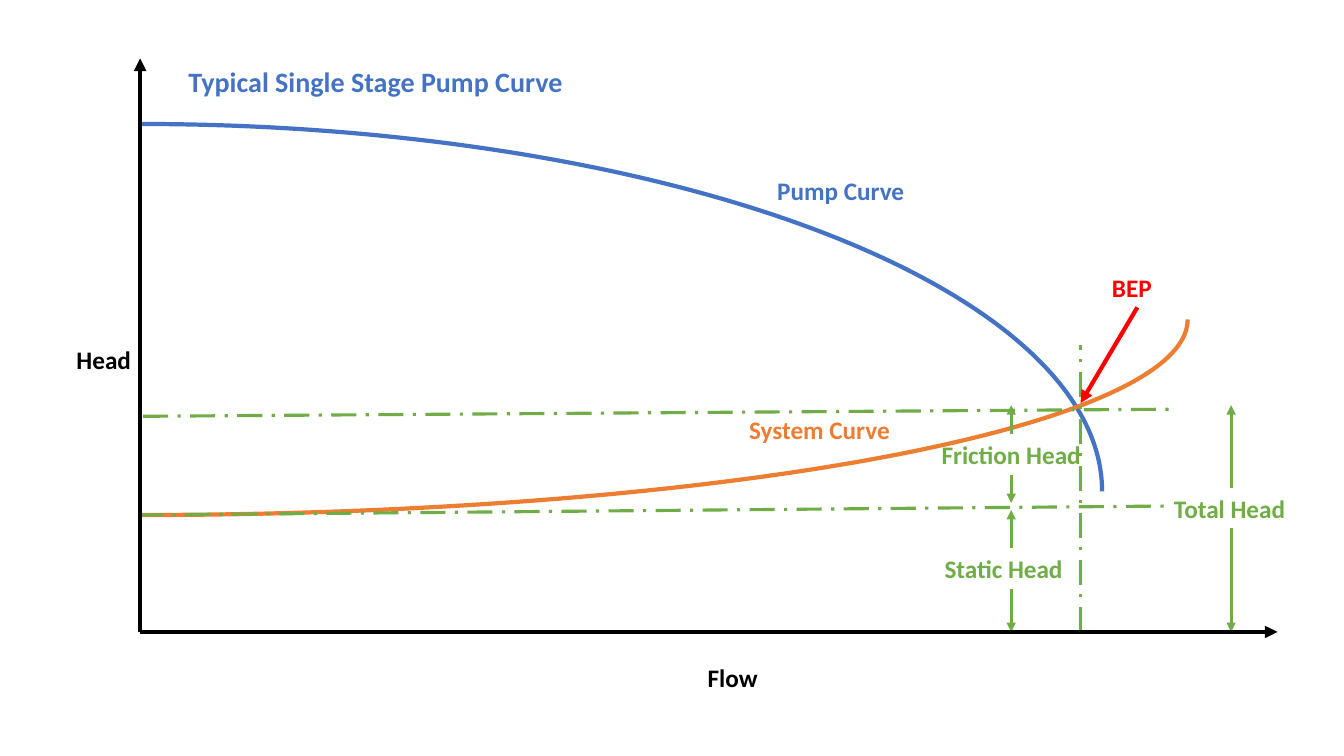
from dataclasses import dataclass

from pptx import Presentation
from pptx.dml.color import RGBColor
from pptx.enum.dml import MSO_LINE
from pptx.enum.shapes import MSO_CONNECTOR, MSO_SHAPE
from pptx.enum.text import MSO_AUTO_SIZE, PP_ALIGN
from pptx.oxml.ns import qn
from pptx.shapes.autoshape import Shape
from pptx.shapes.connector import Connector
from pptx.util import Inches, Pt
from lxml.etree import SubElement

BLUE = RGBColor(0x44, 0x72, 0xC4)
ORANGE = RGBColor(0xED, 0x7D, 0x31)
GREEN = RGBColor(0x70, 0xAD, 0x47)
RED = RGBColor(0xFF, 0x00, 0x00)
BLACK = RGBColor(0x00, 0x00, 0x00)

THICK, THIN = 3, 2.25
TOP, BOTTOM = 0, 2  # connection sites of a label

# All positions are percentages of the slide's width (x) and height (y)
ORIGIN_X, ORIGIN_Y = 10.43, 83.6
BEP_X, BEP_LEVEL = 80.4, 53.6
HEAD_X, TOTAL_X = 75.24, 91.6
GUIDE_END = 87.25


@dataclass
class Curve:
    """A quarter ellipse, drawn as an arc that may be turned."""
    center_x: float
    center_y: float
    radius_x: float
    radius_y: float
    color: RGBColor
    rotation: int = 0


@dataclass
class Label:
    text: str
    left: float
    top: float
    width: float
    color: RGBColor
    size: int = 18
    height: float = 5.33
    align: PP_ALIGN = PP_ALIGN.LEFT


@dataclass
class Line:
    x1: float
    y1: float
    x2: float
    y2: float


@dataclass
class LabelArrow:
    """An arrow from a label's top or bottom to a point."""
    label: str
    site: int
    x: float
    y: float
    color: RGBColor = GREEN
    width: float = THIN


CURVES = [
    Curve(ORIGIN_X, 65, 71.57, 48.6, BLUE),
    Curve(10.28, 42.27, 78.09, 25.87, ORANGE, rotation=90),
]
GUIDES = [
    Line(10.28, 68.13, GUIDE_END, 66.93),
    Line(10.65, 55.07, GUIDE_END, 54.13),
    Line(BEP_X, ORIGIN_Y, BEP_X, 45.6),
]
LABELS = [
    Label("Pump Curve", 57.09, 22.53, 11.4, BLUE),
    Label("System Curve", 54.99, 54.13, 12.68, ORANGE),
    Label("Static Head", 69.54, 72.53, 11.4, GREEN),
    Label("Friction Head", 69.24, 57.47, 12, GREEN, align=PP_ALIGN.CENTER),
    Label("Total Head", 86.61, 64.53, 9.98, GREEN),
    Label("BEP", 82, 35.33, 5.25, RED),
    Label("Head", 4.95, 44.93, 6.08, BLACK),
    Label("Flow", 51.91, 86.93, 6.08, BLACK),
    Label("Typical Single Stage Pump Curve", 13.28, 7.87, 29.56, BLUE, 20, 5.87),
]
LABEL_ARROWS = [
    LabelArrow("Static Head", TOP, HEAD_X, 67.47),
    LabelArrow("Static Head", BOTTOM, HEAD_X, ORIGIN_Y),
    LabelArrow("Friction Head", TOP, HEAD_X, BEP_LEVEL),
    LabelArrow("Friction Head", BOTTOM, HEAD_X, 66.53),
    LabelArrow("Total Head", TOP, TOTAL_X, BEP_LEVEL),
    LabelArrow("Total Head", BOTTOM, TOTAL_X, ORIGIN_Y),
    LabelArrow("BEP", BOTTOM, BEP_X, 53.33, RED, THICK),
]
AXES = [
    Line(ORIGIN_X, ORIGIN_Y, ORIGIN_X, 7.73),
    Line(ORIGIN_X, ORIGIN_Y, 95.05, ORIGIN_Y),
]

prs = Presentation()
prs.slide_width, prs.slide_height = Inches(13.33), Inches(7.5)
slide = prs.slides.add_slide(prs.slide_layouts[6])


def col(share: float) -> int:
    return round(prs.slide_width * share / 100)


def row(share: float) -> int:
    return round(prs.slide_height * share / 100)


def draw_curve(curve: Curve) -> None:
    half_w, half_h = col(curve.radius_x), row(curve.radius_y)
    if curve.rotation == 90:
        half_w, half_h = half_h, half_w
    s = slide.shapes.add_shape(
        MSO_SHAPE.ARC, col(curve.center_x) - half_w, row(curve.center_y) - half_h,
        2 * half_w, 2 * half_h)
    s.rotation = curve.rotation
    s.shadow.inherit = False
    s.fill.background()
    s.line.color.rgb = curve.color
    s.line.width = Pt(THICK)


def draw_label(label: Label) -> Shape:
    s = slide.shapes.add_textbox(
        col(label.left), row(label.top), col(label.width), row(label.height))
    tf = s.text_frame
    tf.word_wrap = True
    tf.auto_size = MSO_AUTO_SIZE.SHAPE_TO_FIT_TEXT
    tf.text = label.text
    p = tf.paragraphs[0]
    p.alignment = label.align
    font = p.runs[0].font
    font.name, font.size, font.bold = "Calibri", Pt(label.size), True
    font.color.rgb = label.color
    return s


def draw_line(line: Line, color: RGBColor, width: float, dashed: bool = False) -> Connector:
    """Draw a dashed guide, or a solid line with an arrowhead at its end."""
    s = slide.shapes.add_connector(
        MSO_CONNECTOR.STRAIGHT, col(line.x1), row(line.y1), col(line.x2), row(line.y2))
    s.line.color.rgb = color
    s.line.width = Pt(width)
    if dashed:
        s.line.dash_style = MSO_LINE.LONG_DASH_DOT
    else:
        SubElement(s.line._get_or_add_ln(), qn("a:tailEnd"), type="triangle")
    SubElement(s._element.spPr, qn("a:effectLst"))
    return s


# Pump and system curves
for curve in CURVES:
    draw_curve(curve)

# Guides through the best efficiency point and the static head
for guide in GUIDES:
    draw_line(guide, GREEN, THIN, dashed=True)

# Labels, and the arrows that leave them
boxes = {label.text: draw_label(label) for label in LABELS}
for arrow in LABEL_ARROWS:
    s = draw_line(Line(arrow.x, arrow.y, arrow.x, arrow.y), arrow.color, arrow.width)
    s.begin_connect(boxes[arrow.label], arrow.site)

# Axes
for axis in AXES:
    draw_line(axis, BLACK, THICK)

prs.save("out.pptx")
